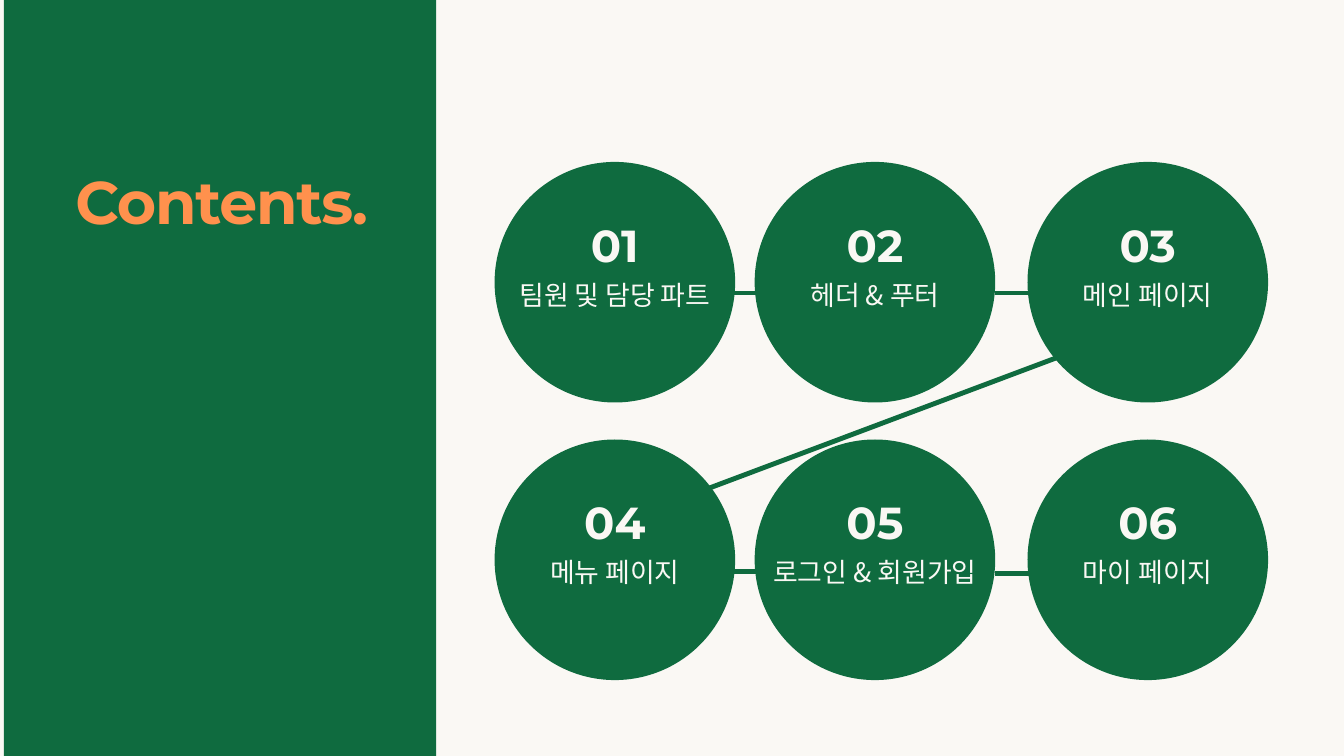
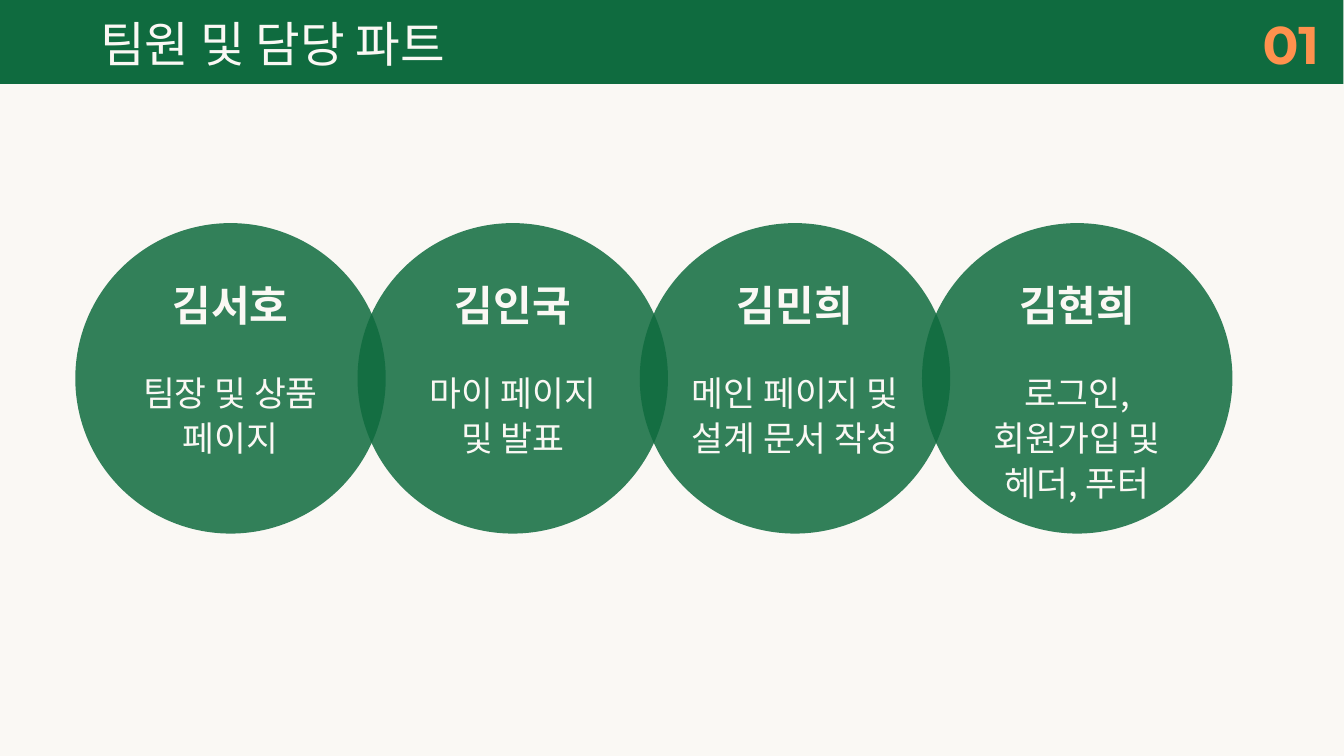
from dataclasses import dataclass

from lxml import etree
from pptx import Presentation
from pptx.dml.color import RGBColor
from pptx.enum.shapes import MSO_CONNECTOR, MSO_SHAPE
from pptx.enum.text import MSO_ANCHOR, MSO_AUTO_SIZE, PP_ALIGN
from pptx.oxml.ns import qn
from pptx.util import Inches, Pt

STRAIGHT = MSO_CONNECTOR.STRAIGHT
RECTANGLE, OVAL = MSO_SHAPE.RECTANGLE, MSO_SHAPE.OVAL
LEFT, CENTER, RIGHT = PP_ALIGN.LEFT, PP_ALIGN.CENTER, PP_ALIGN.RIGHT
TOP = MSO_ANCHOR.TOP
GROW = MSO_AUTO_SIZE.SHAPE_TO_FIT_TEXT
TITLE_ONLY = 5


@dataclass(frozen=True)
class TextStyle:
    """Type settings for one role of text."""
    font: str
    size: float
    leading: float
    color: RGBColor
    bold: bool = False
    spacing: float = 0


class Theme:
    """Colours and type styles shared by the slides."""
    cream = RGBColor.from_string("FAF8F4")
    green = RGBColor.from_string("0F6B3F")
    orange = RGBColor.from_string("FF914D")
    latin, korean = "Montserrat", "Noto Sans CJK KR"
    line_width = 5.25
    contents_title = TextStyle(latin, 64.4, 83.8, orange, True, -1.3)
    page_title = TextStyle(korean, 52, 72.8, cream)
    page_number = TextStyle(latin, 56.8, 73.8, orange, True)
    topic_number = TextStyle(latin, 48, 62.3, cream, True)
    topic_label = TextStyle(korean, 28.8, 37.4, cream)
    member_name = TextStyle(latin, 45, 58.5, cream, True)
    member_duty = TextStyle(korean, 37.1, 48.2, cream)


TOPIC_COLUMNS = [(7.36, 1.18), (11.23, 1.44), (15.29, 1.5)]
TOPIC_ROWS = [2.41, 6.54]
TOPICS = ["팀원 및 담당 파트", "헤더 & 푸터", "메인 페이지",
          "메뉴 페이지", "로그인 & 회원가입", "마이 페이지"]
TOPIC_LINKS = [(10.89, 4.36, 11.57, 4.36), (14.81, 4.36, 15.49, 4.36),
               (10.43, 7.31, 16, 5.22),
               (10.75, 8.5, 11.43, 8.5), (14.81, 8.54, 15.49, 8.54)]
MEMBERS = [("김서호", "팀장 및 상품 페이지", 3.03),
           ("김인국", "마이 페이지 및 발표", 3.03),
           ("김민희", "메인 페이지 및 설계 문서 작성", 4.12),
           ("김현희", "로그인, 회원가입 및 헤더, 푸터", 3.47)]


def write_text(box, text, style, align):
    """Fill a box with one styled paragraph."""
    frame = box.text_frame
    frame.margin_left = frame.margin_right = frame.margin_top = frame.margin_bottom = 0
    frame.word_wrap = True
    frame.auto_size = GROW
    frame.vertical_anchor = TOP
    para = frame.paragraphs[0]
    para.alignment = align
    para.line_spacing = Pt(style.leading)
    span = para.add_run()
    span.text = text
    span.font.size = Pt(style.size)
    span.font.bold = style.bold
    span.font.color.rgb = style.color
    span.font.name = style.font
    properties = span._r.get_or_add_rPr()
    etree.SubElement(properties, qn("a:ea"), typeface=style.font)
    if style.spacing:
        properties.set("spc", str(round(style.spacing * 100)))


def add_text(page, text, style, left, top, width, height, align=CENTER):
    """Add a text box."""
    box = page.shapes.add_textbox(Inches(left), Inches(top), Inches(width), Inches(height))
    write_text(box, text, style, align)


def add_centered_text(page, text, style, middle, top, width, height):
    """Add a text box centred on a horizontal position."""
    add_text(page, text, style, middle - width / 2, top, width, height)


def add_title(page, text, style, left, top, width, height, align):
    """Place the title placeholder in front of the band."""
    title = page.shapes.title
    title.left, title.top = Inches(left), Inches(top)
    title.width, title.height = Inches(width), Inches(height)
    write_text(title, text, style, align)
    title.element.getparent().append(title.element)


def add_green_shape(page, kind, left, top, width, height, opacity=100):
    """Add a green shape without outline or shadow."""
    shape = page.shapes.add_shape(kind, Inches(left), Inches(top), Inches(width), Inches(height))
    shape.shadow.inherit = False
    shape.line.fill.background()
    shape.fill.solid()
    shape.fill.fore_color.rgb = Theme.green
    if opacity < 100:
        color = next(shape.element.iter(qn("a:srgbClr")))
        etree.SubElement(color, qn("a:alpha"), val=str(opacity * 1000))


def add_link(page, *ends):
    """Add a green line between two points."""
    link = page.shapes.add_connector(STRAIGHT, *map(Inches, ends))
    link.line.color.rgb = Theme.green
    link.line.width = Pt(Theme.line_width)
    etree.SubElement(link.element.spPr, qn("a:effectLst"))


def add_topic(page, number, label, left, top, number_width):
    """Add a numbered topic circle."""
    diameter = 3.58
    middle = left + diameter / 2
    add_green_shape(page, OVAL, left, top, diameter, diameter)
    add_centered_text(page, f"{number:02}", Theme.topic_number, middle, top + 0.76, number_width, 0.83)
    add_centered_text(page, label, Theme.topic_label, middle, top + 1.69, 3.19, 0.5)


def add_member(page, name, duty, left, duty_width):
    """Add a translucent circle with a member's name and duty."""
    top, diameter = 3.32, 4.62
    middle = left + diameter / 2
    add_green_shape(page, OVAL, left, top, diameter, diameter, opacity=85)
    add_centered_text(page, name, Theme.member_name, middle, 4.1, 1.94, 0.79)
    add_centered_text(page, duty, Theme.member_duty, middle, 5.48, duty_width, 1.32)


def add_page(deck):
    """Add a slide that has only a title placeholder."""
    return deck.slides.add_slide(deck.slide_layouts[TITLE_ONLY])


def build_contents(deck):
    """Build the contents slide."""
    page = add_page(deck)
    add_green_shape(page, RECTANGLE, 0.06, 0, 6.43, 11.25)
    add_title(page, "Contents.", Theme.contents_title, 1.12, 2.35, 4.59, 1.14, LEFT)
    for link in TOPIC_LINKS:
        add_link(page, *link)
    for index, label in enumerate(TOPICS):
        row, column = divmod(index, len(TOPIC_COLUMNS))
        left, number_width = TOPIC_COLUMNS[column]
        add_topic(page, index + 1, label, left, TOPIC_ROWS[row], number_width)


def build_team(deck):
    """Build the slide of team members and their parts."""
    page = add_page(deck)
    add_green_shape(page, RECTANGLE, 0, 0, 19.99, 1.25)
    add_title(page, TOPICS[0], Theme.page_title, 1.12, 0.07, 5.88, 1.03, CENTER)
    add_text(page, "01", Theme.page_number, 18.46, 0.09, 1.17, 1, RIGHT)
    for index, (name, duty, duty_width) in enumerate(MEMBERS):
        add_member(page, name, duty, 1.12 + 4.2 * index, duty_width)


def main():
    """Build and save the deck."""
    deck = Presentation()
    deck.slide_width, deck.slide_height = Inches(20), Inches(11.25)
    background = deck.slide_master.background.fill
    background.solid()
    background.fore_color.rgb = Theme.cream
    build_contents(deck)
    build_team(deck)
    deck.save("out.pptx")


if __name__ == "__main__":
    main()
